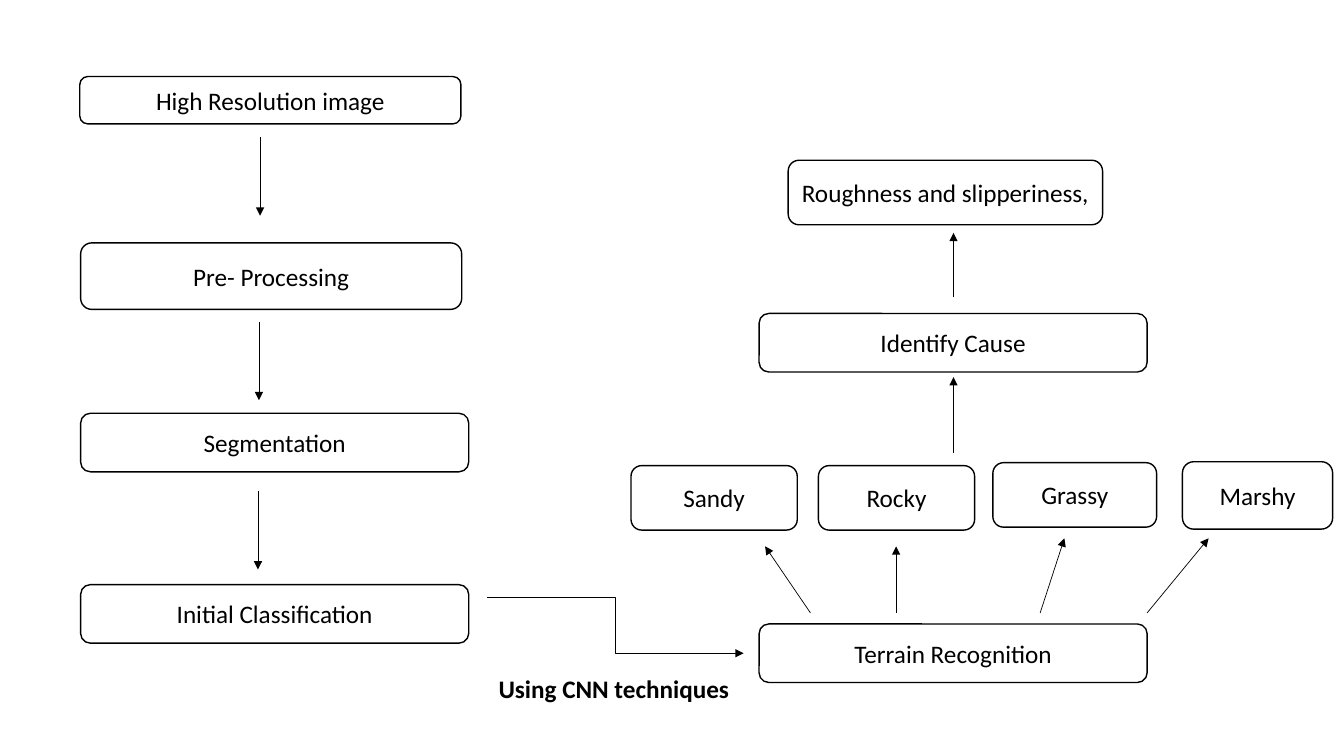
from typing import NamedTuple

from lxml import etree
from pptx import Presentation
from pptx.dml.color import RGBColor
from pptx.enum.shapes import MSO_CONNECTOR, MSO_SHAPE
from pptx.enum.text import MSO_ANCHOR, PP_ALIGN
from pptx.oxml.ns import qn
from pptx.slide import Slide
from pptx.util import Pt

ROUNDED = MSO_SHAPE.ROUNDED_RECTANGLE
STRAIGHT = MSO_CONNECTOR.STRAIGHT
ELBOW = MSO_CONNECTOR.ELBOW
MIDDLE = MSO_ANCHOR.MIDDLE
CENTER = PP_ALIGN.CENTER
BLACK = RGBColor(0, 0, 0)
WHITE = RGBColor(255, 255, 255)
FONT = "Calibri"


class Step(NamedTuple):
    text: str
    left: float
    top: float
    width: float
    height: float
    outline: RGBColor = BLACK
    bold: bool = False


class Arrow(NamedTuple):
    start_x: float
    start_y: float
    end_x: float
    end_y: float
    route: MSO_CONNECTOR = STRAIGHT


STEP_LEFT, STEP_WIDTH, STEP_HEIGHT = 57.6, 277.2, 41.8
RESULT_LEFT = 542.2
CAUSE_X = 681.1
TERRAIN_ARROW_START = 437.8
DOWN_LENGTH = 56.2

STEPS = [
    Step("High Resolution image", 57, 54.7, 272.2, 33.8),
    Step("Pre- Processing", STEP_LEFT, 173.5, 272.2, 47.5),
    Step("Segmentation", STEP_LEFT, 295.2, STEP_WIDTH, STEP_HEIGHT),
    Step("Initial Classification", STEP_LEFT, 417.6, STEP_WIDTH, STEP_HEIGHT),
    Step("Terrain Recognition", RESULT_LEFT, 445.7, STEP_WIDTH, STEP_HEIGHT),
    Step("Sandy", 450.7, 332.6, 118.8, 46.1),
    Step("Rocky", 584.6, 332.6, 111.6, 46.1),
    Step("Grassy", 709.2, 330.5, 117, 46.1),
    Step("Marshy", 844.6, 329.8, 107.3, 48.2),
    Step("Identify Cause", RESULT_LEFT, 223.9, STEP_WIDTH, STEP_HEIGHT),
    Step("Roughness and slipperiness,", 563, 114.5, 224.6, 46.1),
    Step("Using CNN techniques", 340.6, 475.9, 195.8, 31.7, WHITE, True),
]

DOWN_STARTS = [(185.8, 97.9), (185, 229.7), (184.3, 350.6)]
TERRAIN_PATHS = [(578.9, 546.5, 390.2), (640.1, 640.1, 390.2),
                 (743, 760.3, 384.5), (819.4, 863.3, 384.5)]

ARROWS = [
    *(Arrow(x, y, x, y + DOWN_LENGTH) for x, y in DOWN_STARTS),
    *(Arrow(start_x, TERRAIN_ARROW_START, end_x, end_y)
      for start_x, end_x, end_y in TERRAIN_PATHS),
    Arrow(CAUSE_X, 323.3, CAUSE_X, 269.3),
    Arrow(CAUSE_X, 212.4, CAUSE_X, 166.3),
    Arrow(347.8, 427, 531.2, 466.6, ELBOW),
]


def draw_step(slide: Slide, step: Step) -> None:
    box = slide.shapes.add_shape(
        ROUNDED, Pt(step.left), Pt(step.top), Pt(step.width), Pt(step.height))
    box.shadow.inherit = False
    box.fill.solid()
    box.fill.fore_color.rgb = WHITE
    box.line.color.rgb = step.outline
    box.line.width = Pt(1)
    frame = box.text_frame
    frame.text = step.text
    frame.word_wrap = True
    frame.vertical_anchor = MIDDLE
    paragraph = frame.paragraphs[0]
    paragraph.alignment = CENTER
    font = paragraph.runs[0].font
    font.name = FONT
    font.size = Pt(18)
    font.bold = step.bold
    font.color.rgb = BLACK


def draw_arrow(slide: Slide, arrow: Arrow) -> None:
    connector = slide.shapes.add_connector(
        arrow.route, Pt(arrow.start_x), Pt(arrow.start_y),
        Pt(arrow.end_x), Pt(arrow.end_y))
    connector.line.color.rgb = BLACK
    connector.line.width = Pt(0.5)
    etree.SubElement(connector.line._get_or_add_ln(), qn("a:tailEnd"), type="triangle")
    etree.SubElement(connector._element.spPr, qn("a:effectLst"))


presentation = Presentation()
presentation.slide_width = Pt(960)
presentation.slide_height = Pt(540)
flowchart = presentation.slides.add_slide(presentation.slide_layouts[6])
for step in STEPS:
    draw_step(flowchart, step)
for arrow in ARROWS:
    draw_arrow(flowchart, arrow)
presentation.save("out.pptx")
